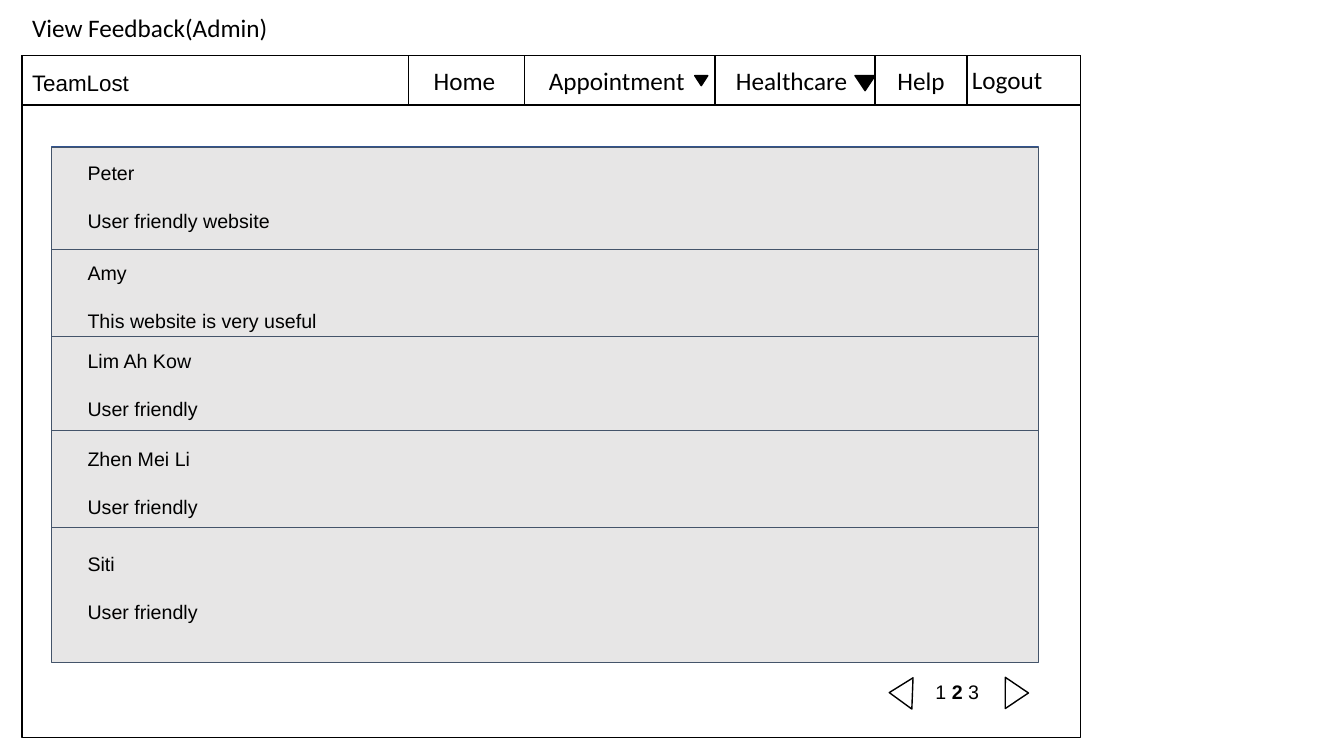
from dataclasses import dataclass
from typing import Optional

from pptx import Presentation
from pptx.dml.color import RGBColor
from pptx.enum.shapes import MSO_SHAPE
from pptx.enum.text import MSO_ANCHOR, PP_ALIGN
from pptx.util import Inches, Pt

CELL = 0.1  # side of one grid cell, in inches


@dataclass(frozen=True)
class Theme:
    ink: str = "000000"
    paper: str = "FFFFFF"
    card: str = "E7E6E6"
    card_line: str = "44546A"
    panel_line: str = "31538F"
    ui_font: str = "Calibri"
    body_font: str = "Arial"
    ui_size: float = 18
    brand_size: float = 16
    body_size: float = 14
    entry_gap: float = 17.5
    line: float = 1
    thin_line: float = 0.75


@dataclass(frozen=True)
class Box:
    """Left, top, width and height in grid columns and rows."""
    col: float
    row: float
    cols: float
    rows: float

    def lengths(self):
        return [Inches(n * CELL) for n in (self.col, self.row, self.cols, self.rows)]


@dataclass(frozen=True)
class Tab:
    label: str
    col: float
    cols: float
    arrow: Optional[Box] = None


@dataclass(frozen=True)
class Feedback:
    name: str
    comment: str
    row: float
    rows: float
    text_row: float


T = Theme()
HEADER = Box(2.2, 5.5, 105, 4.9)
PANEL = Box(5.1, 14.6, 97.9, 50.5)

TABS = [
    Tab("Help", 86.8, 9.1),
    Tab("Home ", 40.5, 11.7),
    Tab("Healthcare ", 70.8, 16, Box(84.8, 7.5, 2, 1.5)),
    Tab("Appointment ", 52, 18.9, Box(68.9, 7.5, 1.3, 1)),
]

ENTRIES = [
    Feedback("Peter", "User friendly website", 14.6, 10.5, 15),
    Feedback("Amy", "This website is very useful", 24.8, 8.9, 24.9),
    Feedback("Lim Ah Kow", "User friendly", 33.4, 10.1, 33.6),
    Feedback("Zhen Mei Li", "User friendly", 42.7, 10.1, 43.3),
    Feedback("Siti", "User friendly", 52.3, 13.4, 53.8),
]


def add_box(s, box: Box, fill: Optional[str] = T.paper, line: str = T.ink,
            width: float = T.line, kind=MSO_SHAPE.RECTANGLE, turn: float = 0):
    sp = s.shapes.add_shape(kind, *box.lengths())
    sp.shadow.inherit = False
    sp.rotation = turn
    if fill is None:
        sp.fill.background()
    else:
        sp.fill.solid()
        sp.fill.fore_color.rgb = RGBColor.from_string(fill)
    sp.line.color.rgb = RGBColor.from_string(line)
    sp.line.width = Pt(width)
    return sp


def add_triangle(s, box: Box, turn: float, fill: str = T.paper):
    return add_box(s, box, fill=fill, kind=MSO_SHAPE.ISOSCELES_TRIANGLE, turn=turn)


def write(sp, *lines: str, font: str = T.ui_font, size: float = T.ui_size,
          align=PP_ALIGN.LEFT, anchor=MSO_ANCHOR.TOP, inset: float = 0.05,
          gap: float = 0, bold: str = ""):
    """Write one paragraph per line; the part equal to bold is set in bold."""
    tf = sp.text_frame
    tf.word_wrap = True
    tf.vertical_anchor = anchor
    tf.margin_left = tf.margin_right = Inches(0.1)
    tf.margin_top = tf.margin_bottom = Inches(inset)
    for i, line in enumerate(lines):
        p = tf.add_paragraph() if i else tf.paragraphs[0]
        p.alignment = align
        p.space_before = Pt(gap if i else 0)
        before, mark, after = line.partition(bold) if bold else (line, "", "")
        for part in filter(None, (before, mark, after)):
            r = p.add_run()
            r.text = part
            r.font.name = font
            r.font.size = Pt(size)
            r.font.bold = part == bold
            r.font.color.rgb = RGBColor.from_string(T.ink)


def add_text(s, box: Box, *lines: str, **style):
    write(s.shapes.add_textbox(*box.lengths()), *lines, **style)


def add_tab(s, tab: Tab):
    sp = add_box(s, Box(tab.col, HEADER.row, tab.cols, HEADER.rows))
    write(sp, tab.label, align=PP_ALIGN.CENTER, anchor=MSO_ANCHOR.MIDDLE)
    if tab.arrow:
        add_triangle(s, tab.arrow, 180, fill=T.ink)


def main():
    prs = Presentation()
    prs.slide_width, prs.slide_height = Inches(13.33), Inches(7.5)
    s = prs.slides.add_slide(prs.slide_layouts[6])
    body = dict(font=T.body_font, size=T.body_size, inset=0.1)

    # Page frame, header bar and title
    add_box(s, Box(HEADER.col, HEADER.row, HEADER.cols, 67.7))
    add_box(s, HEADER, fill=None)
    add_text(s, Box(HEADER.col, 0.7, 44.1, 4), "View Feedback(Admin)")
    add_box(s, PANEL, line=T.panel_line)

    # Navigation
    for tab in TABS:
        add_tab(s, tab)
    add_text(s, Box(95.4, 5.9, 13.2, 4), "Logout")
    add_text(s, Box(HEADER.col, 5.9, 20.4, 4), "TeamLost",
             font=T.body_font, size=T.brand_size, inset=0.1)

    # Feedback cards, then their text on top
    for entry in ENTRIES:
        add_box(s, Box(PANEL.col, entry.row, PANEL.cols, entry.rows),
                fill=T.card, line=T.card_line, width=T.thin_line)
    for entry in ENTRIES:
        add_text(s, Box(7.7, entry.text_row, 41.3, 9.5), entry.name, entry.comment,
                 gap=T.entry_gap, **body)

    # Pager
    for col, turn in ((87.8, 272.2), (99.3, 90.1)):
        add_triangle(s, Box(col, 67.6, 3.1, 2.3), turn)
    add_text(s, Box(91.8, 66.4, 6.7, 3.1), "1 2 3", bold="2 ", **body)

    prs.save("out.pptx")


if __name__ == "__main__":
    main()
